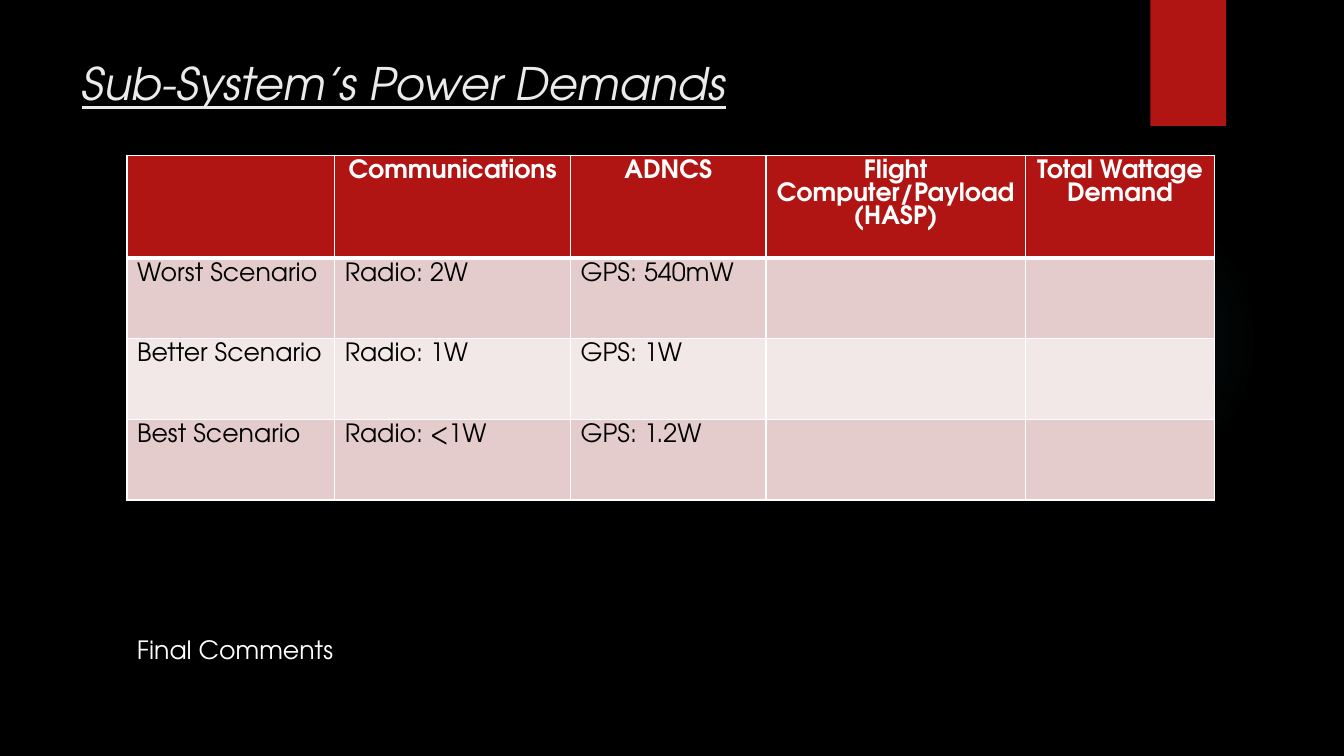
from lxml.etree import SubElement
from pptx import Presentation
from pptx.dml.color import RGBColor
from pptx.enum.shapes import MSO_SHAPE
from pptx.enum.text import MSO_ANCHOR, MSO_AUTO_SIZE, PP_ALIGN
from pptx.oxml import parse_xml
from pptx.oxml.ns import nsdecls, qn
from pptx.util import Inches, Pt

FONT = "TeX Gyre Adventor"
COLORS = {"black": "000000", "red": "B01513", "white": "FFFFFF", "title": "EBEBEB",
          "odd": "E4CCCC", "even": "F2E8E7", "glow": "50B9C1"}

deck = Presentation()
deck.slide_width, deck.slide_height = Inches(13.33), Inches(7.5)
page = deck.slides.add_slide(deck.slide_layouts[5])
page.background.fill.solid()
page.background.fill.fore_color.rgb = RGBColor.from_string(COLORS["black"])


def area(left, top, width, height):
    """Turn percentages of the slide into lengths."""
    across, down = deck.slide_width / 100, deck.slide_height / 100
    return [round(n) for n in (left * across, top * down, width * across, height * down)]


def write(frame, text, color, size=18, align=PP_ALIGN.LEFT, spacing=None, **style):
    para = frame.paragraphs[0]
    para.alignment, para.line_spacing = align, spacing
    span = para.add_run()
    span.text = text
    span.font.color.rgb = RGBColor.from_string(COLORS[color])
    for name, value in {"name": FONT, "size": Pt(size), **style}.items():
        setattr(span.font, name, value)


# Faint glow and red tab
glow = page.shapes.add_shape(MSO_SHAPE.OVAL, *area(70.59, 24.4, 23.1, 41.07))
tab = page.shapes.add_shape(MSO_SHAPE.RECTANGLE, *area(85.6, 0, 5.63, 16.67))
for shape in (glow, tab):
    shape.shadow.inherit = False
    shape.line.fill.background()
tab.fill.solid()
tab.fill.fore_color.rgb = RGBColor.from_string(COLORS["red"])
stops = "".join(
    f'<a:gs pos="{place * 1000}"><a:srgbClr val="{COLORS["glow"]}">'
    f'<a:alpha val="{alpha * 1000}"/></a:srgbClr></a:gs>'
    for place, alpha in ((0, 7), (36, 6), (69, 0)))
glow.element.spPr.find(qn("a:prstGeom")).addnext(parse_xml(
    f'<a:gradFill {nsdecls("a")}><a:gsLst>{stops}</a:gsLst><a:path path="circle">'
    '<a:fillToRect l="50000" t="50000" r="50000" b="50000"/></a:path></a:gradFill>'))

# Title
title = page.shapes.title
title.left, title.top, title.width, title.height = area(5.33, 6.67, 77.2, 20.4)
title.text_frame.auto_size = MSO_AUTO_SIZE.NONE
title.text_frame.vertical_anchor = MSO_ANCHOR.TOP
write(title.text_frame, "Sub-System’s Power Demands", "title", 32, italic=True, underline=True)

# Power table
rows = [
    ["", "Communications", "ADNCS", "Flight Computer/Payload(HASP)", "Total Wattage Demand"],
    ["Worst Scenario", "Radio: 2W", "GPS: 540mW", "", ""],
    ["Better Scenario", "Radio: 1W", "GPS: 1W", "", ""],
    ["Best Scenario", "Radio: <1W", "GPS: 1.2W", "", ""],
]
column_shares = [15.45, 17.55, 14.55, 19.28, 14.1]
row_shares = [13.6] + [10.67] * 3
table = page.shapes.add_table(
    len(rows), len(column_shares),
    *area(9.45, 20.53, sum(column_shares), sum(row_shares))).table
for column, share in zip(table.columns, column_shares):
    column.width = round(deck.slide_width * share / 100)
for row, share in zip(table.rows, row_shares):
    row.height = round(deck.slide_height * share / 100)

for r, texts in enumerate(rows):
    header = r == 0
    for c, text in enumerate(texts):
        cell = table.cell(r, c)
        if text:
            write(cell.text_frame, text, "white" if header else "black", bold=header,
                  align=PP_ALIGN.CENTER if header else PP_ALIGN.LEFT, spacing=Pt(16.5))
        # White borders, thicker between header and body
        properties = cell._tc.get_or_add_tcPr()
        for side in ("L", "R", "T", "B"):
            thick = (r, side) in ((0, "B"), (1, "T"))
            border = SubElement(properties, qn(f"a:ln{side}"), w=str(Pt(3 if thick else 1)))
            SubElement(SubElement(border, qn("a:solidFill")), qn("a:srgbClr"), val=COLORS["white"])
        cell.fill.solid()
        shade = "red" if header else "odd" if r % 2 else "even"
        cell.fill.fore_color.rgb = RGBColor.from_string(COLORS[shade])

# Closing line
box = page.shapes.add_textbox(*area(9.45, 83.2, 70.8, 5.33))
box.text_frame.word_wrap = True
write(box.text_frame, "Final Comments", "white")

deck.save("out.pptx")
